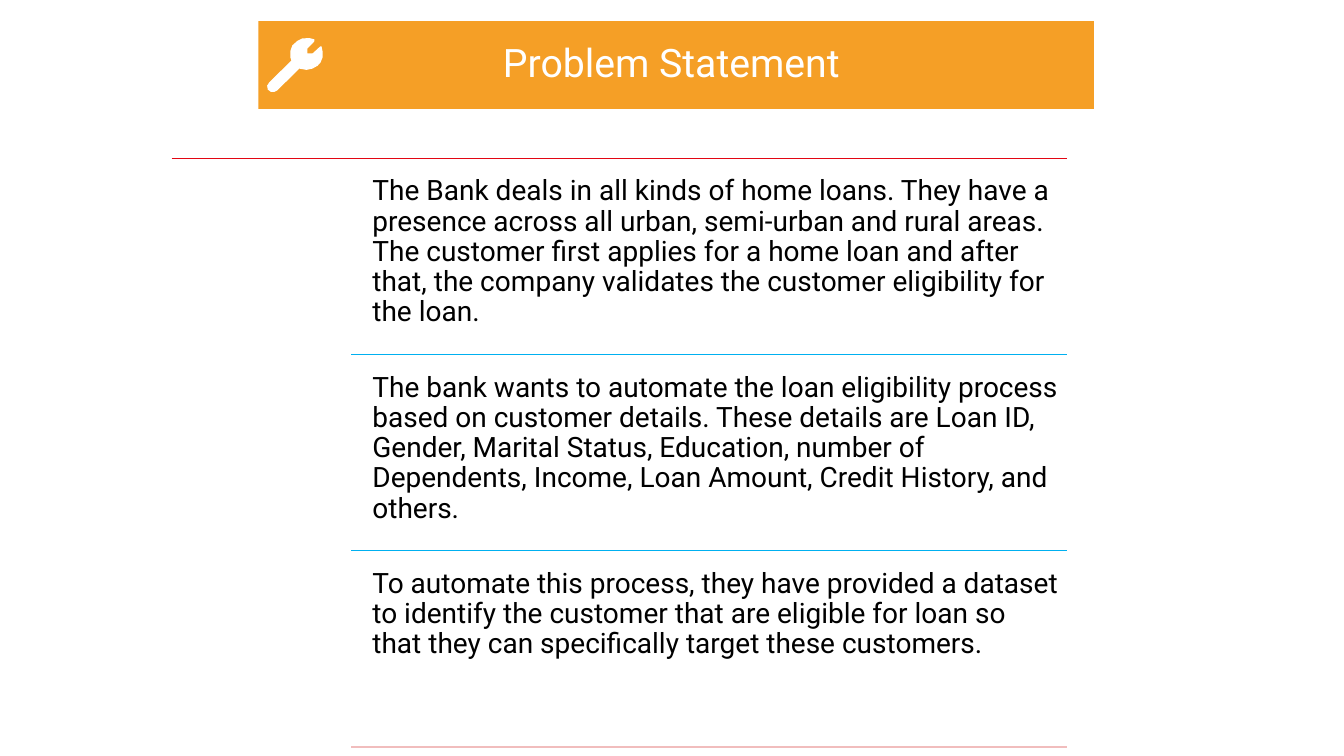
"""Build the Problem Statement slide."""
from lxml import etree
from pptx import Presentation
from pptx.dml.color import RGBColor
from pptx.enum import shapes as es, text as et
from pptx.oxml import ns
from pptx.util import Pt


def paint(obj, color):
    obj.fill.solid()
    obj.fill.fore_color.rgb = RGBColor.from_string(color)


def style(par, size, color):
    par.line_spacing = 0.9
    par.font.name = "Roboto"
    par.font.size = Pt(size)
    paint(par.font, color)


deck = Presentation()
deck.slide_width, deck.slide_height = Pt(960), Pt(540)
slide = deck.slides.add_slide(deck.slide_layouts[6])
items = slide.shapes

title = items.add_shape(es.MSO_SHAPE.RECTANGLE, Pt(184.5), Pt(15.1), Pt(596.9), Pt(62.7))
title.text_frame.text = "Problem Statement "
title.text_frame.vertical_anchor = et.MSO_ANCHOR.MIDDLE
head = title.text_frame.paragraphs[0]
head.alignment = et.PP_ALIGN.CENTER
style(head, 28, "FFFFFF")

tenths = [
    (2297, 331), (2288, 331), (2232, 382), (2196, 382), (2196, 346), (2246, 295),
    (2246, 281), (2210, 272), (2160, 274), (2124, 292), (2088, 324), (2074, 365),
    (2074, 410), (2081, 432), (1922, 590), (1908, 612), (1913, 640), (1935, 656),
    (1960, 656), (1980, 646), (2138, 490), (2189, 499), (2232, 490), (2269, 469),
    (2290, 446), (2304, 410), (2304, 367),
]
path = items.build_freeform(*tenths[0], scale=Pt(0.1))
path.add_line_segments(tenths[1:], close=True)
wrench = path.convert_to_shape()

for shape, color in [(title, "F59F26"), (wrench, "FFFFFF")]:
    paint(shape, color)
    shape.line.fill.background()
    shape.shadow.inherit = False

rows = [
    (122.6, "E20613", "The Bank deals in all kinds of home loans. They have a presence across all "
     "urban, semi-urban and rural areas. The customer first applies for a home loan and after "
     "that, the company validates the customer eligibility for the loan."),
    (250.9, "00B0F0", "The bank wants to automate the loan eligibility process based on customer "
     "details. These details are Loan ID, Gender, Marital Status, Education, number of "
     "Dependents, Income, Loan Amount, Credit History, and others."),
    (250.9, "00B0F0", "To automate this process, they have provided a dataset to identify the "
     "customer that are eligible for loan so that they can specifically target these customers."),
    (250.9, "F1BDBD", ""),
]
for i, (left, color, words) in enumerate(rows):
    top = 113.2 + 140.1 * i
    rule = items.add_connector(es.MSO_CONNECTOR.STRAIGHT, Pt(left), Pt(top), Pt(762.5), Pt(top))
    rule.line.width = Pt(1)
    paint(rule.line, color)
    etree.SubElement(rule._element.spPr, ns.qn("a:effectLst"))
    if words:
        box = items.add_textbox(Pt(260), Pt(top + 7), Pt(502.5), Pt(133.1))
        frame = box.text_frame
        frame.word_wrap = True
        frame.margin_left = frame.margin_right = Pt(6)
        frame.margin_top = frame.margin_bottom = Pt(6)
        frame.text = words
        style(frame.paragraphs[0], 20, "000000")

deck.save("out.pptx")
